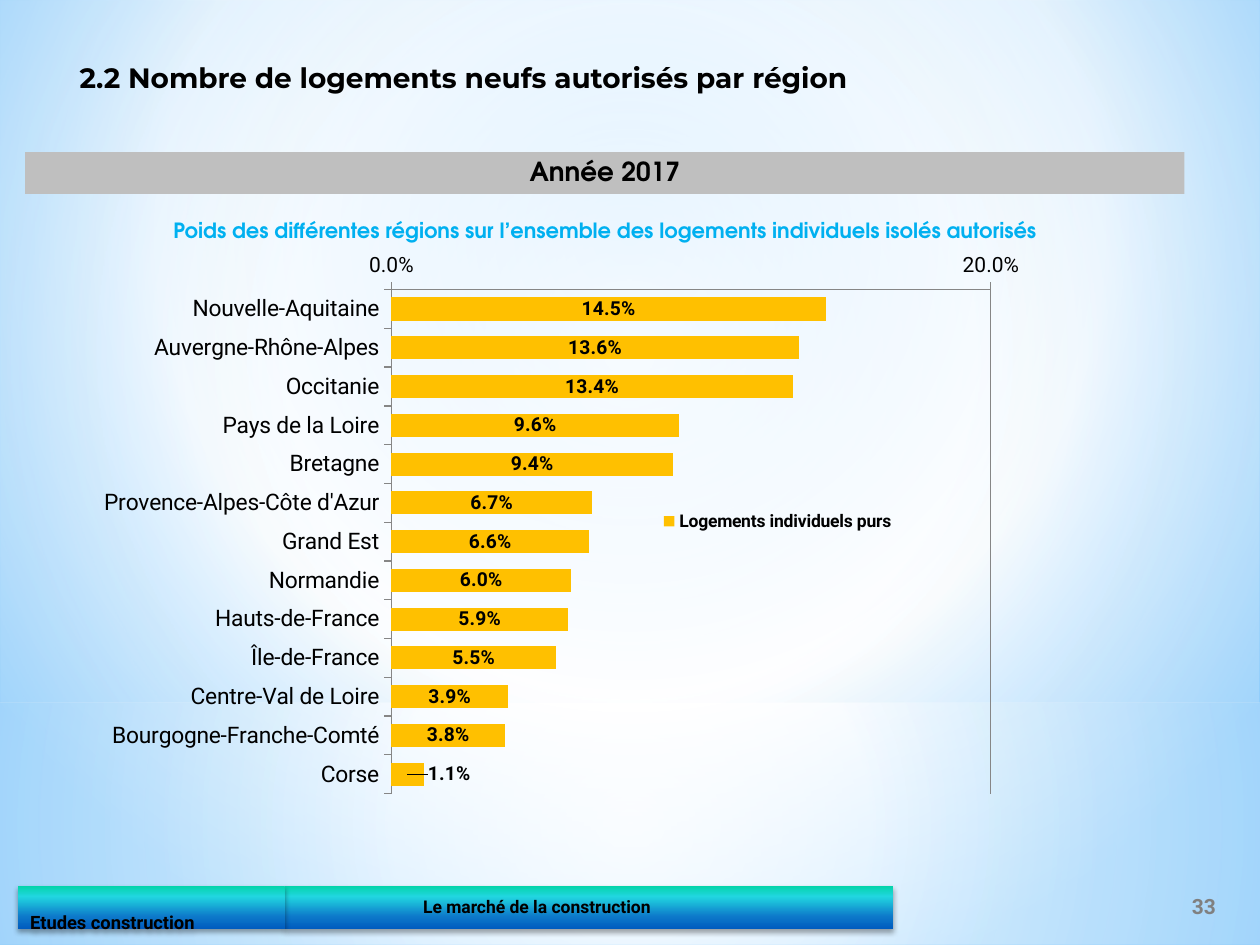
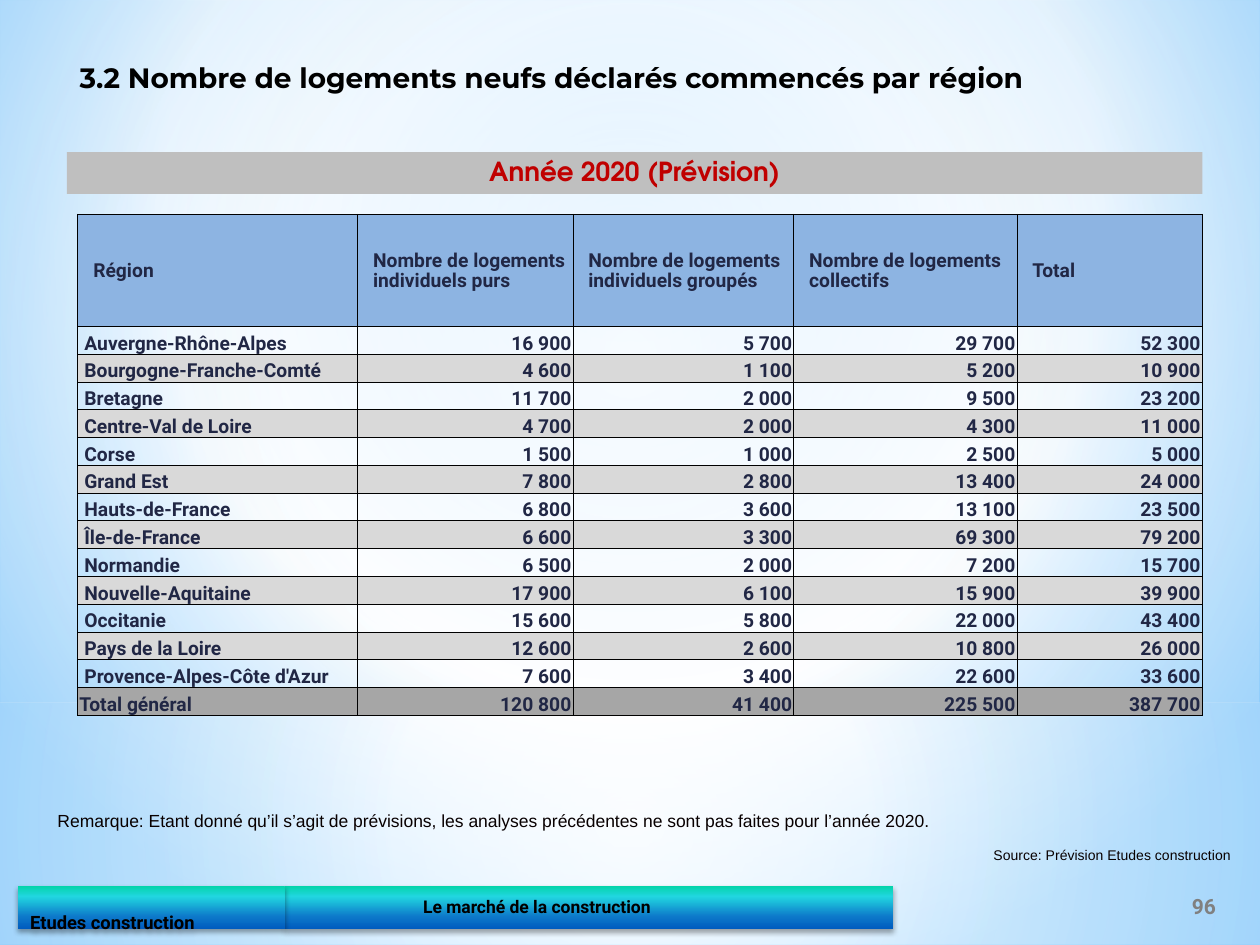
"""Build two slides on new housing by French region: a bar chart and a table."""
import lxml.etree
import pptx
import pptx.chart.data
import pptx.dml.color
import pptx.enum.chart
import pptx.enum.shapes
import pptx.enum.text
import pptx.oxml.ns
import pptx.util

Cm, Pt = pptx.util.Cm, pptx.util.Pt
RGB = pptx.dml.color.RGBColor
ALIGN = pptx.enum.text.PP_ALIGN
ANCHOR = pptx.enum.text.MSO_ANCHOR
qn = pptx.oxml.ns.qn

BLACK = RGB(0x00, 0x00, 0x00)
NOTE_BLACK = RGB(0x08, 0x00, 0x00)
NAVY = RGB(0x21, 0x27, 0x45)
RED = RGB(0xC0, 0x00, 0x00)
SKY = RGB(0x00, 0xB0, 0xF0)
AMBER = RGB(0xFF, 0xC0, 0x00)
HEADER_BLUE = RGB(0x8D, 0xB4, 0xE2)
BAND_GREY = RGB(0xBF, 0xBF, 0xBF)
ROW_GREY = RGB(0xD9, 0xD9, 0xD9)
TOTAL_GREY = RGB(0xA6, 0xA6, 0xA6)
AXIS_GREY = RGB(0x86, 0x86, 0x86)
NUMBER_GREY = RGB(0x80, 0x80, 0x80)
WHITE = RGB(0xFF, 0xFF, 0xFF)
PALE_BLUE = RGB(0xB4, 0xDC, 0xFA)

BODY, HEADING, DISPLAY, NOTE = "Roboto", "Montserrat", "TeX Gyre Adventor", "Arial"

BACKGROUND_STOPS = [(0, RGB(0x9E, 0xD5, 0xFF), 100), (60, WHITE, 100),
                    (100, RGB(0x5B, 0xB9, 0xFF), 100)]
LOWER_STOPS = [(0, WHITE, 91), (37, WHITE, 76), (100, PALE_BLUE, 79)]
UPPER_STOPS = [(0, WHITE, 89), (48, WHITE, 62), (100, PALE_BLUE, 79)]
FOOTER_STOPS = [(0, RGB(0x03, 0xD4, 0xA8), 100), (25, RGB(0x21, 0xD6, 0xE0), 100),
                (72, RGB(0x0D, 0x79, 0xCA), 100), (100, RGB(0x00, 0x5C, 0xBF), 100)]

SHARES = [
    ("Nouvelle-Aquitaine", 0.145), ("Auvergne-Rhône-Alpes", 0.136),
    ("Occitanie", 0.134), ("Pays de la Loire", 0.096), ("Bretagne", 0.094),
    ("Provence-Alpes-Côte d'Azur", 0.067), ("Grand Est", 0.066),
    ("Normandie", 0.06), ("Hauts-de-France", 0.059), ("Île-de-France", 0.055),
    ("Centre-Val de Loire", 0.039), ("Bourgogne-Franche-Comté", 0.038),
    ("Corse", 0.011),
]
HEADERS = ["Région", "Nombre de logements individuels purs",
           "Nombre de logements individuels groupés",
           "Nombre de logements collectifs", "Total"]
HOUSING = [
    ("Auvergne-Rhône-Alpes", 16900, 5700, 29700, 52300),
    ("Bourgogne-Franche-Comté", 4600, 1100, 5200, 10900),
    ("Bretagne", 11700, 2000, 9500, 23200),
    ("Centre-Val de Loire", 4700, 2000, 4300, 11000),
    ("Corse", 1500, 1000, 2500, 5000),
    ("Grand Est", 7800, 2800, 13400, 24000),
    ("Hauts-de-France", 6800, 3600, 13100, 23500),
    ("Île-de-France", 6600, 3300, 69300, 79200),
    ("Normandie", 6500, 2000, 7200, 15700),
    ("Nouvelle-Aquitaine", 17900, 6100, 15900, 39900),
    ("Occitanie", 15600, 5800, 22000, 43400),
    ("Pays de la Loire", 12600, 2600, 10800, 26000),
    ("Provence-Alpes-Côte d'Azur", 7600, 3400, 22600, 33600),
    ("Total général", 120800, 41400, 225500, 387700),
]


def add_xml(parent, tag, **attrs):
    """Append a child element with the given attributes."""
    el = lxml.etree.SubElement(parent, qn(tag))
    for name, value in attrs.items():
        el.set(name, str(value))
    return el


def set_font(font, name, size, color=BLACK, bold=True):
    """Format a font."""
    font.name, font.size, font.bold = name, Pt(size), bold
    font.color.rgb = color


def write(tf, text, name, size, color=BLACK, bold=True, align=ALIGN.LEFT, spacing=0.9):
    """Fill a text frame with one formatted paragraph."""
    tf.word_wrap = True
    p = tf.paragraphs[0]
    p.text = text
    p.alignment, p.line_spacing = align, spacing
    set_font(p.font, name, size, color, bold)


def set_gradient(fill, element, stops, focus=None):
    """Give a gradient: circular around focus, otherwise from top to bottom."""
    fill.solid()
    solid = next(element.iter(qn("a:solidFill")))
    grad = lxml.etree.Element(qn("a:gradFill"), rotWithShape="1")
    gs_list = add_xml(grad, "a:gsLst")
    for position, color, alpha in stops:
        gs = add_xml(gs_list, "a:gs", pos=position * 1000)
        clr = add_xml(gs, "a:srgbClr", val=color)
        if alpha < 100:
            add_xml(clr, "a:alpha", val=alpha * 1000)
    if focus:
        circle = add_xml(grad, "a:path", path="circle")
        add_xml(circle, "a:fillToRect", **{k: v * 1000 for k, v in zip("ltrb", focus)})
    else:
        add_xml(grad, "a:lin", ang=5400000, scaled=0)
    solid.getparent().replace(solid, grad)


def add_rect(s, x, y, w, h):
    """Add a rectangle without line or shadow, in centimetres."""
    sp = s.shapes.add_shape(pptx.enum.shapes.MSO_SHAPE.RECTANGLE,
                            Cm(x), Cm(y), Cm(w), Cm(h))
    sp.shadow.inherit = False
    sp.line.fill.background()
    return sp


def add_footer_bar(s, x, w, text, size, left, top, anchor):
    """Add a footer bar with a gradient, a soft shadow and a label."""
    sp = add_rect(s, x, 17.86, w, 0.86)
    set_gradient(sp.fill, sp.element, FOOTER_STOPS)
    effects = sp.element.spPr.find(qn("a:effectLst"))
    shadow = add_xml(effects, "a:outerShdw", blurRad=Pt(3.1), dist=Pt(1.8),
                     dir=5400000, rotWithShape=0)
    add_xml(add_xml(shadow, "a:srgbClr", val=BLACK), "a:alpha", val=35000)
    tf = sp.text_frame
    tf.margin_left, tf.margin_top = Cm(left), Cm(top)
    tf.vertical_anchor = anchor
    write(tf, text, BODY, size)
    return sp


def dress_master(prs, s):
    """Draw the shared background and footer, then move them to the master."""
    master = prs.slide_master
    set_gradient(master.background.fill, master.element, BACKGROUND_STOPS, (20, 10, 20, 60))
    lower = add_rect(s, 0, 14.17, 25.4, 4.88)
    set_gradient(lower.fill, lower.element, LOWER_STOPS, (50, 50, 50, 50))
    upper = add_rect(s, 0, 0, 25.4, 14.17)
    set_gradient(upper.fill, upper.element, UPPER_STOPS, (50, 50, 50, 50))
    subject = add_footer_bar(s, 5.74, 12.27, "Le marché de la construction",
                             10, 2.79, 0.13, ANCHOR.MIDDLE)
    author = add_footer_bar(s, 0.36, 5.38, "Etudes construction",
                            10.5, 0.25, 0.56, ANCHOR.TOP)
    for i, sp in enumerate((lower, upper, subject, author)):
        sp.element.nvSpPr.cNvPr.set("id", str(20 + i))
        master.shapes.element.insert(2 + i, sp.element)


def add_text(s, x, y, w, h, text, name, size, color, bold=True, align=ALIGN.LEFT,
             anchor=ANCHOR.MIDDLE, spacing=1.0):
    """Add a text box, in centimetres."""
    tf = s.shapes.add_textbox(Cm(x), Cm(y), Cm(w), Cm(h)).text_frame
    tf.vertical_anchor = anchor
    write(tf, text, name, size, color, bold, align, spacing)


def set_title(s, text):
    """Place and fill the title placeholder."""
    sp = s.shapes.title
    sp.left, sp.top, sp.width, sp.height = Cm(1.35), Cm(1.09), Cm(20.52), Cm(1.12)
    tf = sp.text_frame
    tf.auto_size = pptx.enum.text.MSO_AUTO_SIZE.NONE
    tf.vertical_anchor = ANCHOR.TOP
    write(tf, text, HEADING, 16, spacing=1.0)


def add_year_band(s, x, w, text, color):
    """Add the grey band that names the year."""
    sp = add_rect(s, x, 3.07, w, 0.84)
    sp.fill.solid()
    sp.fill.fore_color.rgb = BAND_GREY
    sp.text_frame.vertical_anchor = ANCHOR.TOP
    write(sp.text_frame, text, DISPLAY, 15, color, align=ALIGN.CENTER)


def add_page_number(s, number):
    """Add the page number beside the footer."""
    add_text(s, 23.52, 17.75, 1.5, 1.02, str(number), BODY, 12, NUMBER_GREY,
             align=ALIGN.CENTER)


def set_layout(parent, index, **values):
    """Give a chart part a manual layout, as fractions of the chart."""
    for old in parent.findall(qn("c:layout")):
        parent.remove(old)
    layout = lxml.etree.Element(qn("c:layout"))
    manual = add_xml(layout, "c:manualLayout")
    for name, value in values.items():
        add_xml(manual, "c:" + name, val=value)
    parent.insert(index, layout)


def format_axis(axis, size):
    """Format an axis line, its ticks and its labels."""
    axis.major_tick_mark = pptx.enum.chart.XL_TICK_MARK.OUTSIDE
    axis.minor_tick_mark = pptx.enum.chart.XL_TICK_MARK.NONE
    axis.format.line.color.rgb = AXIS_GREY
    axis.format.line.width = Pt(0.75)
    set_font(axis.tick_labels.font, BODY, size, bold=False)


def add_share_chart(s):
    """Add the bar chart of shares by region."""
    data = pptx.chart.data.CategoryChartData(number_format="0.0%")
    data.categories = [region for region, _ in SHARES]
    data.add_series("Logements individuels purs", [share for _, share in SHARES])
    chart = s.shapes.add_chart(pptx.enum.chart.XL_CHART_TYPE.BAR_STACKED, Cm(1.5), Cm(5.03),
                               Cm(23.24), Cm(11.91), data).chart
    set_font(chart.font, BODY, 18, bold=False)
    chart.has_title = False
    plot = chart.plots[0]
    plot.gap_width, plot.overlap, plot.vary_by_categories = 68, 100, False

    regions, shares = chart.category_axis, chart.value_axis
    format_axis(regions, 13)
    format_axis(shares, 12)
    regions.reverse_order = True
    regions.has_major_gridlines = False
    shares.minimum_scale, shares.maximum_scale, shares.major_unit = 0, 0.2, 0.2
    shares.has_major_gridlines = True
    shares.major_gridlines.format.line.color.rgb = AXIS_GREY
    shares.major_gridlines.format.line.width = Pt(0.75)
    shares.tick_labels.number_format = "0.0%"
    shares.tick_labels.number_format_is_linked = False

    series = plot.series[0]
    series.format.fill.solid()
    series.format.fill.fore_color.rgb = AMBER
    labels = series.data_labels
    labels.show_value = True
    labels.number_format, labels.number_format_is_linked = "0.0%", False
    labels.position = pptx.enum.chart.XL_LABEL_POSITION.CENTER
    set_font(labels.font, BODY, 11)
    corse = series.points[len(SHARES) - 1].data_label
    set_font(corse.font, BODY, 11)
    corse.position = pptx.enum.chart.XL_LABEL_POSITION.CENTER
    set_layout(next(chart.element.iter(qn("c:dLbl"))), 1, x=0.036, y=0)

    chart.has_legend = True
    chart.legend.position = pptx.enum.chart.XL_LEGEND_POSITION.RIGHT
    chart.legend.include_in_layout = False
    set_font(chart.legend.font, BODY, 10)
    set_layout(next(chart.element.iter(qn("c:legend"))), 1, xMode="edge", yMode="edge",
               x=0.5, y=0.435, w=0.22, h=0.05)
    set_layout(next(chart.element.iter(qn("c:plotArea"))), 0, layoutTarget="inner",
               xMode="edge", yMode="edge", x=0.275, y=0.068, w=0.52, h=0.853)


def format_cell(cell, text, fill, left, align, anchor):
    """Fill one table cell, with thin black borders."""
    tc_pr = cell._tc.get_or_add_tcPr()
    for side in "LRTB":
        ln = add_xml(tc_pr, "a:ln" + side, w=Pt(0.5))
        add_xml(add_xml(ln, "a:solidFill"), "a:srgbClr", val=BLACK)
    if fill is None:
        cell.fill.background()
    else:
        cell.fill.solid()
        cell.fill.fore_color.rgb = fill
    cell.margin_left, cell.margin_right = Cm(left), Cm(0.03)
    cell.margin_top, cell.margin_bottom = Cm(0.03), 0
    cell.vertical_anchor = anchor
    write(cell.text_frame, text, BODY, 11, NAVY, align=align)


def add_housing_table(s):
    """Add the table of housing starts by region."""
    widths = [5.64, 4.34, 4.45, 4.5, 3.73]
    table = s.shapes.add_table(len(HOUSING) + 1, len(widths), Cm(1.57), Cm(4.32),
                               Cm(sum(widths)), Cm(10.13)).table
    table.first_row = table.horz_banding = False
    for column, width in zip(table.columns, widths):
        column.width = Cm(width)
    table.rows[0].height = Cm(2.26)
    for c, header in enumerate(HEADERS):
        format_cell(table.cell(0, c), header, HEADER_BLUE, 0.31, ALIGN.LEFT, ANCHOR.MIDDLE)
    for r, (region, *counts) in enumerate(HOUSING, 1):
        table.rows[r].height = Cm(0.56)
        is_total = r == len(HOUSING)
        fill = TOTAL_GREY if is_total else None if r % 2 else ROW_GREY
        format_cell(table.cell(r, 0), region, fill, 0.03 if is_total else 0.13,
                    ALIGN.LEFT, ANCHOR.BOTTOM)
        for c, count in enumerate(counts, 1):
            format_cell(table.cell(r, c), f"{count:,}".replace(",", " "), fill, 0.03,
                        ALIGN.RIGHT, ANCHOR.BOTTOM)


def main():
    """Build and save the presentation."""
    prs = pptx.Presentation()
    prs.slide_width, prs.slide_height = Cm(25.4), Cm(19.05)
    title_only = prs.slide_layouts[5]

    s = prs.slides.add_slide(title_only)
    dress_master(prs, s)
    set_title(s, "2.2 Nombre de logements neufs autorisés par région")
    add_page_number(s, 33)
    add_year_band(s, 0.51, 23.37, "Année 2017", BLACK)
    add_text(s, 0.94, 4.32, 22.53, 0.71,
             "Poids des différentes régions sur l’ensemble des logements individuels isolés autorisés",
             DISPLAY, 12, SKY, align=ALIGN.CENTER, anchor=ANCHOR.TOP, spacing=0.9)
    add_share_chart(s)

    s = prs.slides.add_slide(title_only)
    set_title(s, "3.2 Nombre de logements neufs déclarés commencés par région")
    add_page_number(s, 96)
    add_year_band(s, 1.35, 22.89, "Année 2020 (Prévision)", RED)
    add_housing_table(s)
    add_text(s, 0.91, 16.15, 19, 0.79,
             "Remarque: Etant donné qu’il s’agit de prévisions, les analyses précédentes "
             "ne sont pas faites pour l’année 2020.", NOTE, 10, NOTE_BLACK, bold=False)
    add_text(s, 19.46, 16.84, 5.61, 0.79, "Source: Prévision Etudes construction",
             NOTE, 8, NOTE_BLACK, bold=False, align=ALIGN.RIGHT)

    prs.save("out.pptx")


if __name__ == "__main__":
    main()
